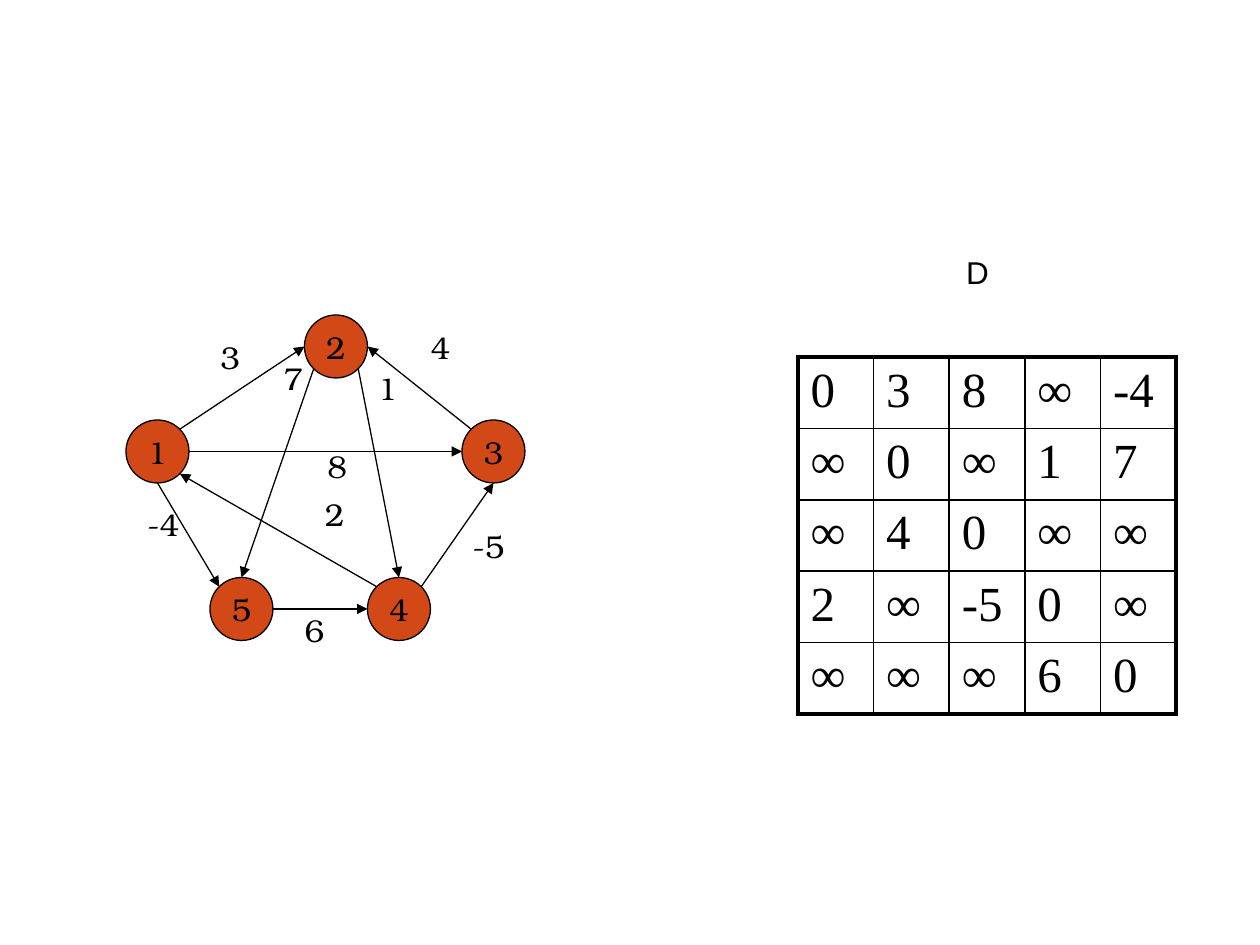
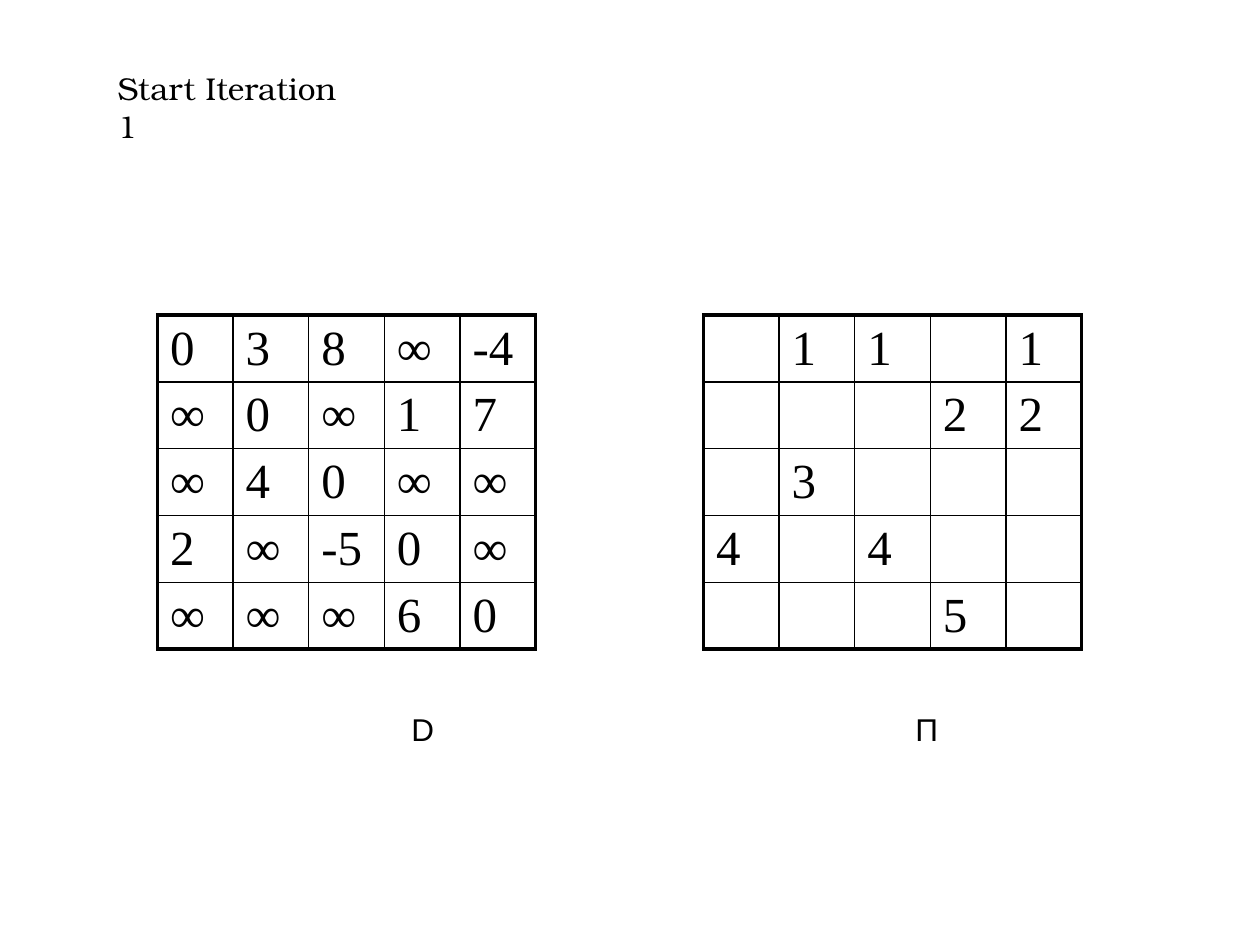
from collections import namedtuple
from math import sqrt

from lxml.etree import SubElement
from pptx import Presentation
from pptx.dml.color import RGBColor
from pptx.enum.shapes import MSO_CONNECTOR, MSO_SHAPE
from pptx.enum.text import MSO_ANCHOR, MSO_AUTO_SIZE, PP_ALIGN
from pptx.oxml.ns import qn
from pptx.util import Pt

COLORS = {"ink": "000000", "node": "D34817"}
GRAPH_FONT, CAPTION_FONT, MATRIX_FONT = "TeX Gyre Bonum", "Arial", "Times New Roman"
TITLE_ONLY, BLANK = 5, 6

Box = namedtuple("Box", "left top width height")
Edge = namedtuple("Edge", "start start_side end end_side weight label_left label_top")

NODE_SIZE = 36
NODES = {"2": (102, 0), "4": (138, 150), "5": (48, 150), "1": (0, 60), "3": (192, 60)}
DIAGONAL = 1 / sqrt(2)
SIDES = {
    "N": (0, -1), "E": (1, 0), "S": (0, 1), "W": (-1, 0),
    "NE": (DIAGONAL, -DIAGONAL), "SE": (DIAGONAL, DIAGONAL),
    "SW": (-DIAGONAL, DIAGONAL), "NW": (-DIAGONAL, -DIAGONAL),
}
EDGES = [
    Edge("1", "NE", "2", "W", "3", 46.8, 9.4),
    Edge("3", "NW", "2", "E", "4", 167, 3.6),
    Edge("1", "S", "5", "NW", "-4", 5, 105),
    Edge("5", "E", "4", "W", "6", 95, 165.6),
    Edge("4", "NE", "3", "S", "-5", 190.8, 117.4),
    Edge("4", "NW", "1", "SE", "2", 106.6, 99.4),
    Edge("1", "E", "3", "W", "8", 108, 72),
    Edge("2", "SW", "5", "N", "7", 82.8, 21.6),
    Edge("2", "SE", "4", "N", "1", 136.8, 27.4),
]
DISTANCES = [
    ["0", "3", "8", "∞", "-4"],
    ["∞", "0", "∞", "1", "7"],
    ["∞", "4", "0", "∞", "∞"],
    ["2", "∞", "-5", "0", "∞"],
    ["∞", "∞", "∞", "6", "0"],
]
PREDECESSORS = [
    ["", "1", "1", "", "1"],
    ["", "", "", "2", "2"],
    ["", "3", "", "", ""],
    ["4", "", "4", "", ""],
    ["", "", "", "5", ""],
]


def color(name):
    """Return a palette colour."""
    return RGBColor.from_string(COLORS[name])


def style_text(para, font_name, size=18):
    """Set the font of a paragraph."""
    para.font.name = font_name
    para.font.size = Pt(size)
    para.font.color.rgb = color("ink")


def add_label(page, text, left, top, font_name):
    """Add a short unwrapped label."""
    width = 16.2 + 10.4 * len(text)
    label = page.shapes.add_textbox(Pt(left), Pt(top), Pt(width), Pt(29))
    label.text_frame.word_wrap = False
    label.text_frame.text = text
    style_text(label.text_frame.paragraphs[0], font_name)


def add_node(page, box, name):
    """Draw a numbered graph node."""
    node = page.shapes.add_shape(MSO_SHAPE.FLOWCHART_CONNECTOR, *map(Pt, box))
    node.shadow.inherit = False
    node.fill.solid()
    node.fill.fore_color.rgb = color("node")
    node.line.color.rgb = color("ink")
    node.line.width = Pt(0.75)
    frame = node.text_frame
    frame.word_wrap = False
    frame.vertical_anchor = MSO_ANCHOR.MIDDLE
    frame.text = name
    frame.paragraphs[0].alignment = PP_ALIGN.CENTER
    style_text(frame.paragraphs[0], GRAPH_FONT)


def rim_point(box, name, side):
    """Return the point on a node's rim that faces a compass side."""
    radius = NODE_SIZE / 2
    return [Pt(origin + offset + radius * (1 + direction))
            for origin, offset, direction in zip(box[:2], NODES[name], SIDES[side])]


def add_arrow(page, start, end):
    """Draw a thin arrow between two points."""
    arrow = page.shapes.add_connector(MSO_CONNECTOR.STRAIGHT, *start, *end)
    arrow.line.color.rgb = color("ink")
    arrow.line.width = Pt(0.75)
    SubElement(arrow.line._get_or_add_ln(), qn("a:tailEnd"), type="triangle")
    SubElement(arrow._element.spPr, qn("a:effectLst"))


def add_graph(page, box):
    """Draw the weighted directed graph."""
    for name, (left, top) in NODES.items():
        add_node(page, Box(box.left + left, box.top + top, NODE_SIZE, NODE_SIZE), name)
    for edge in EDGES:
        add_arrow(page, rim_point(box, edge.start, edge.start_side),
                  rim_point(box, edge.end, edge.end_side))
    for edge in EDGES:
        add_label(page, edge.weight, box.left + edge.label_left,
                  box.top + edge.label_top, GRAPH_FONT)


def set_borders(cell, outer_sides):
    """Rule a cell, with a heavier line on its outer sides."""
    properties = cell._tc.get_or_add_tcPr()
    for side, is_outer in outer_sides.items():
        width = Pt(2.25 if is_outer else 1)
        line = SubElement(properties, qn(f"a:ln{side}"), w=str(width))
        fill = SubElement(line, qn("a:solidFill"))
        SubElement(fill, qn("a:srgbClr"), val=COLORS["ink"])


def add_matrix(page, box, values):
    """Add a ruled matrix that fills the box."""
    rows, columns = len(values), len(values[0])
    table = page.shapes.add_table(rows, columns, *map(Pt, box)).table
    table.first_row = table.horz_banding = False
    for column in table.columns:
        column.width = Pt(box.width / columns)
    for row_index, row in enumerate(values):
        table.rows[row_index].height = Pt(box.height / rows)
        for column_index, value in enumerate(row):
            cell = table.cell(row_index, column_index)
            cell.margin_bottom = 0
            cell.text = value
            style_text(cell.text_frame.paragraphs[0], MATRIX_FONT, 28)
            set_borders(cell, {"L": column_index == 0, "R": column_index == columns - 1,
                               "T": row_index == 0, "B": row_index == rows - 1})
            cell.fill.background()


def set_title(page, box, text):
    """Place and format the slide title."""
    title = page.shapes.title
    title.left, title.top, title.width, title.height = map(Pt, box)
    frame = title.text_frame
    frame.text = text
    frame.word_wrap = True
    frame.auto_size = MSO_AUTO_SIZE.NONE
    frame.vertical_anchor = MSO_ANCHOR.TOP
    frame.paragraphs[0].alignment = PP_ALIGN.LEFT
    style_text(frame.paragraphs[0], GRAPH_FONT)


def build_graph_slide(deck):
    """Show the graph beside its distance matrix."""
    page = deck.slides.add_slide(deck.slide_layouts[BLANK])
    add_graph(page, Box(72, 180, 228, 186))
    add_matrix(page, Box(456, 204, 216, 204), DISTANCES)
    add_label(page, "D", 545, 141, CAPTION_FONT)


def build_iteration_slide(deck):
    """Show the distance and predecessor matrices."""
    page = deck.slides.add_slide(deck.slide_layouts[TITLE_ONLY])
    set_title(page, Box(60, 36, 142, 52), "Start Iteration 1")
    for left, values, caption, caption_left in (
            (90, DISTANCES, "D", 228), (402, PREDECESSORS, "Π", 516)):
        add_matrix(page, Box(left, 180, 216, 191), values)
        add_label(page, caption, caption_left, 402, CAPTION_FONT)


def main():
    """Build and save the deck."""
    deck = Presentation()
    deck.slide_width, deck.slide_height = Pt(720), Pt(540)
    build_graph_slide(deck)
    build_iteration_slide(deck)
    deck.save("out.pptx")


if __name__ == "__main__":
    main()
